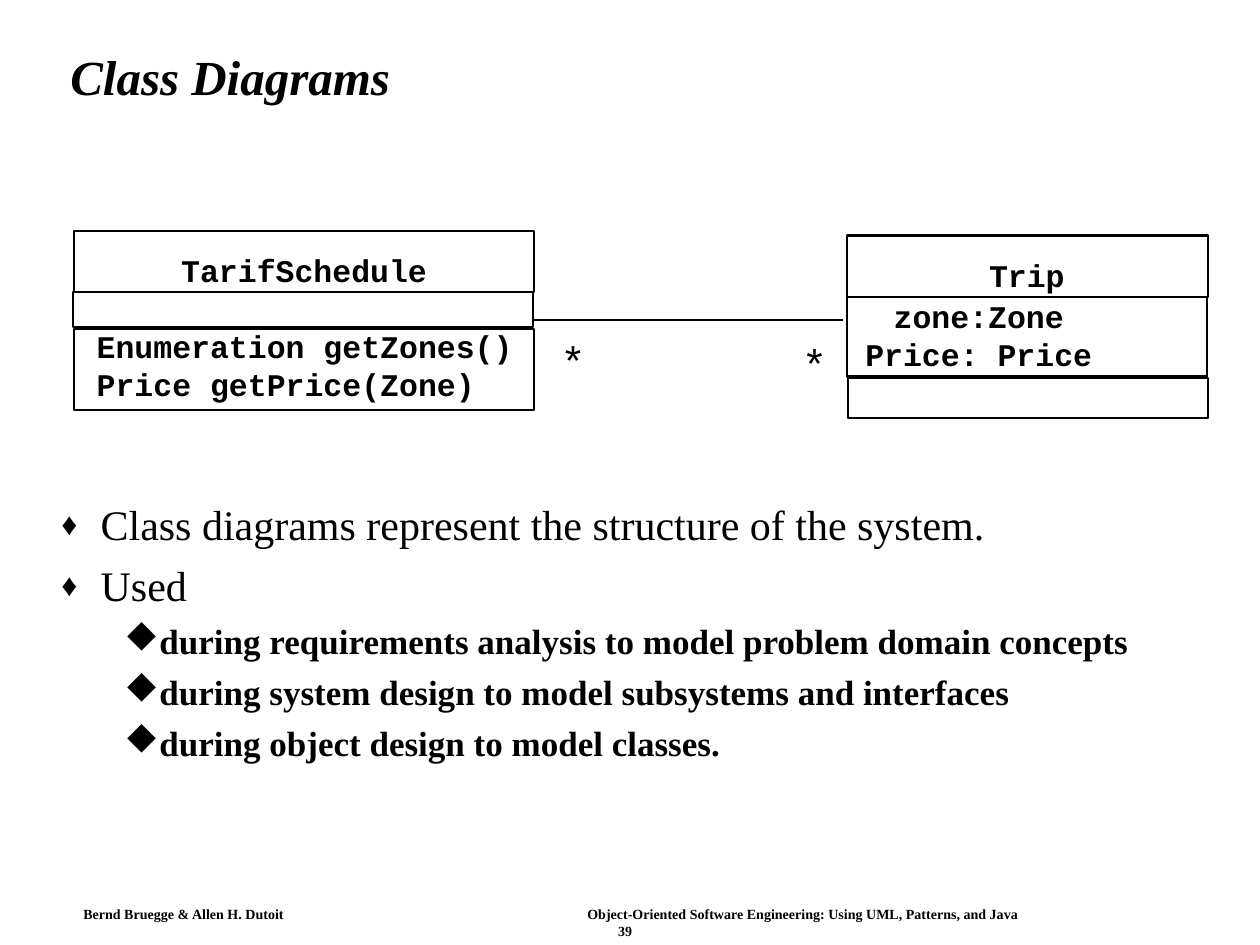
from dataclasses import dataclass

from lxml.etree import SubElement
from pptx import Presentation
from pptx.dml.color import RGBColor
from pptx.enum.shapes import MSO_CONNECTOR, MSO_SHAPE
from pptx.enum.text import MSO_ANCHOR, PP_ALIGN
from pptx.oxml.ns import qn
from pptx.util import Cm, Pt


@dataclass
class Theme:
    ink: RGBColor = RGBColor(0, 0, 0)
    serif: str = "Times New Roman"
    mono: str = "Courier New"
    sans: str = "Arial"
    signs: str = "Wingdings"
    title: int = 28
    body: int = 24
    sub: int = 20
    code: int = 18
    foot: int = 8


theme = Theme()


def add_frame(area, pad=(0, 0), wrap=False, anchor=MSO_ANCHOR.TOP):
    """Add a text box; area and pad (side, top) are in centimetres."""
    frame = slide.shapes.add_textbox(*map(Cm, area)).text_frame
    frame.margin_left = frame.margin_right = Cm(pad[0])
    frame.margin_top = frame.margin_bottom = Cm(pad[1])
    frame.word_wrap = wrap
    frame.vertical_anchor = anchor
    return frame


def add_line(frame, text, face, size, bold=False, align=PP_ALIGN.LEFT):
    """Fill the first empty paragraph, or add a new one."""
    para = frame.paragraphs[0]
    if para.runs:
        para = frame.add_paragraph()
    para.alignment = align
    run = para.add_run()
    run.text = text
    run.font.name = face
    run.font.size = Pt(size)
    run.font.bold = bold
    run.font.color.rgb = theme.ink
    return para


deck = Presentation()
deck.slide_width, deck.slide_height = Cm(25.4), Cm(19.05)
slide = deck.slides.add_slide(deck.slide_layouts[6])

# Footer: the tab stops place the book title and the page number
foot = add_frame((1.48, 18.15, 22, 0.6), (0.2, 0.1), True)
for text, stop in (
    ("Bernd Bruegge & Allen H. Dutoit\t"
     "Object-Oriented Software Engineering: Using UML, Patterns, and Java", 10.16),
    ("\t39", 10.78),
):
    para = add_line(foot, text, theme.serif, theme.foot, True)
    tabs = SubElement(para._p.get_or_add_pPr(), qn("a:tabLst"))
    SubElement(tabs, qn("a:tab"), pos=str(Cm(stop)), algn="l")

# Title
frame = add_frame((1.17, 0.63, 22.66, 1.96), (0.25, 0.13), True, MSO_ANCHOR.MIDDLE)
title = add_line(frame, "Class Diagrams", theme.serif, theme.title, True)
title.line_spacing = 0.9
title.runs[0].font.italic = True

# Bullets
points = (
    (0, "Class diagrams represent the structure of the system."),
    (0, "Used"),
    (1, "during requirements analysis to model problem domain concepts"),
    (1, "during system design to model subsystems and interfaces"),
    (1, "during object design to model classes."),
)
# Per level: type size, bold, left margin, hanging indent, space before,
# mark font, mark, mark scale
levels = (
    (theme.body, False, 0.79, 0.79, 9, theme.serif, "♦", 75),
    (theme.sub, True, 1.91, 0.64, 7.5, theme.signs, "u", 100),
)
body = add_frame((0.99, 10.04, 22.94, 7.21), (0.25, 0.13), True)
for num, (level, text) in enumerate(points):
    size, bold, left, hang, space, face, mark, scale = levels[level]
    para = add_line(body, text, theme.serif, size, bold)
    props = para._p.get_or_add_pPr()
    props.set("marL", str(Cm(left)))
    props.set("indent", str(-Cm(hang)))
    tint = SubElement(props, qn("a:buClr"))
    SubElement(tint, qn("a:srgbClr"), val=str(theme.ink))
    SubElement(props, qn("a:buSzPct"), val=str(scale * 1000))
    font = SubElement(props, qn("a:buFont"), typeface=face)
    if face == theme.signs:
        font.set("charset", "2")
    SubElement(props, qn("a:buChar"), char=mark)
    para.level = level
    para.line_spacing = 0.9
    if num:
        para.space_before = Pt(space)

# Class boxes: name, attributes and operations of each class
parts = (
    (1.5, 4.65, 9.27, 1.24),
    (1.47, 5.89, 9.27, 0.71),
    (1.5, 6.63, 9.27, 1.63),
    (17.07, 4.75, 7.29, 1.24),
    (17.07, 5.99, 7.26, 1.6),
    (17.09, 7.62, 7.26, 0.81),
)
for area in parts:
    part = slide.shapes.add_shape(MSO_SHAPE.RECTANGLE, *map(Cm, area))
    part.shadow.inherit = False
    part.fill.background()
    part.line.color.rgb = theme.ink
    part.line.width = Pt(1.25)

labels = (
    ((3.13, 5.06, 6, 0.76), PP_ALIGN.CENTER, ("TarifSchedule",)),
    ((19.2, 5.17, 3, 0.76), PP_ALIGN.CENTER, ("Trip",)),
    ((1.95, 6.6, 8.75, 1.52), PP_ALIGN.LEFT,
     ("Enumeration getZones()", "Price getPrice(Zone)")),
    ((17.23, 5.99, 5, 1.52), PP_ALIGN.CENTER, ("zone:Zone", "Price: Price")),
)
for area, align, lines in labels:
    frame = add_frame(area)
    for text in lines:
        add_line(frame, text, theme.mono, theme.code, True, align)

# Association with its multiplicities
link = slide.shapes.add_connector(
    MSO_CONNECTOR.STRAIGHT, Cm(10.77), Cm(6.45), Cm(17), Cm(6.45))
link.line.color.rgb = theme.ink
link.line.width = Pt(0.75)
SubElement(link._element.spPr, qn("a:effectLst"))
for left, top in ((11.13, 6.6), (16, 6.65)):
    frame = add_frame((left, top, 0.84, 1.27), (0.25, 0.13), anchor=MSO_ANCHOR.MIDDLE)
    add_line(frame, "*", theme.sans, theme.body, align=PP_ALIGN.CENTER)

deck.save("out.pptx")
